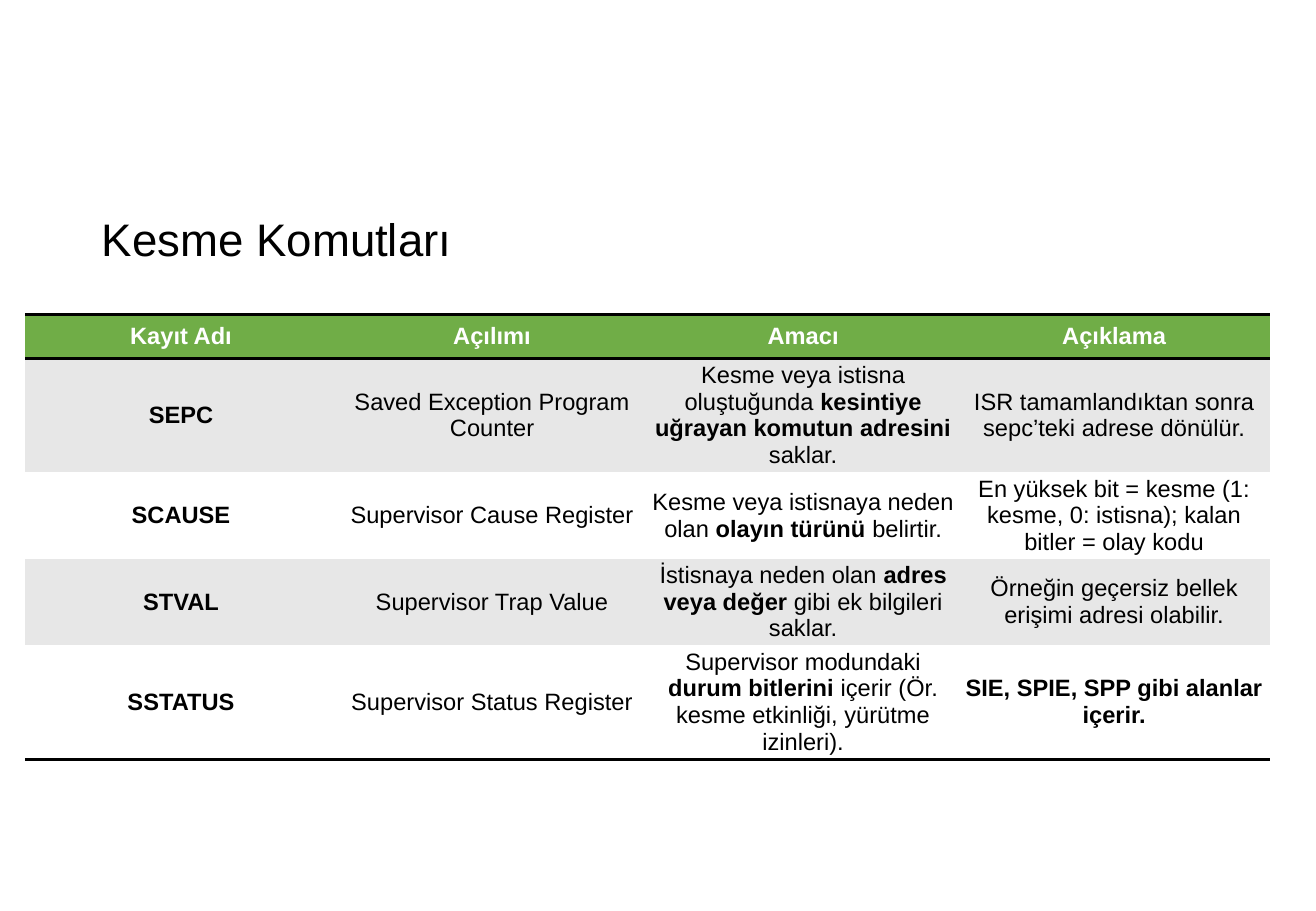
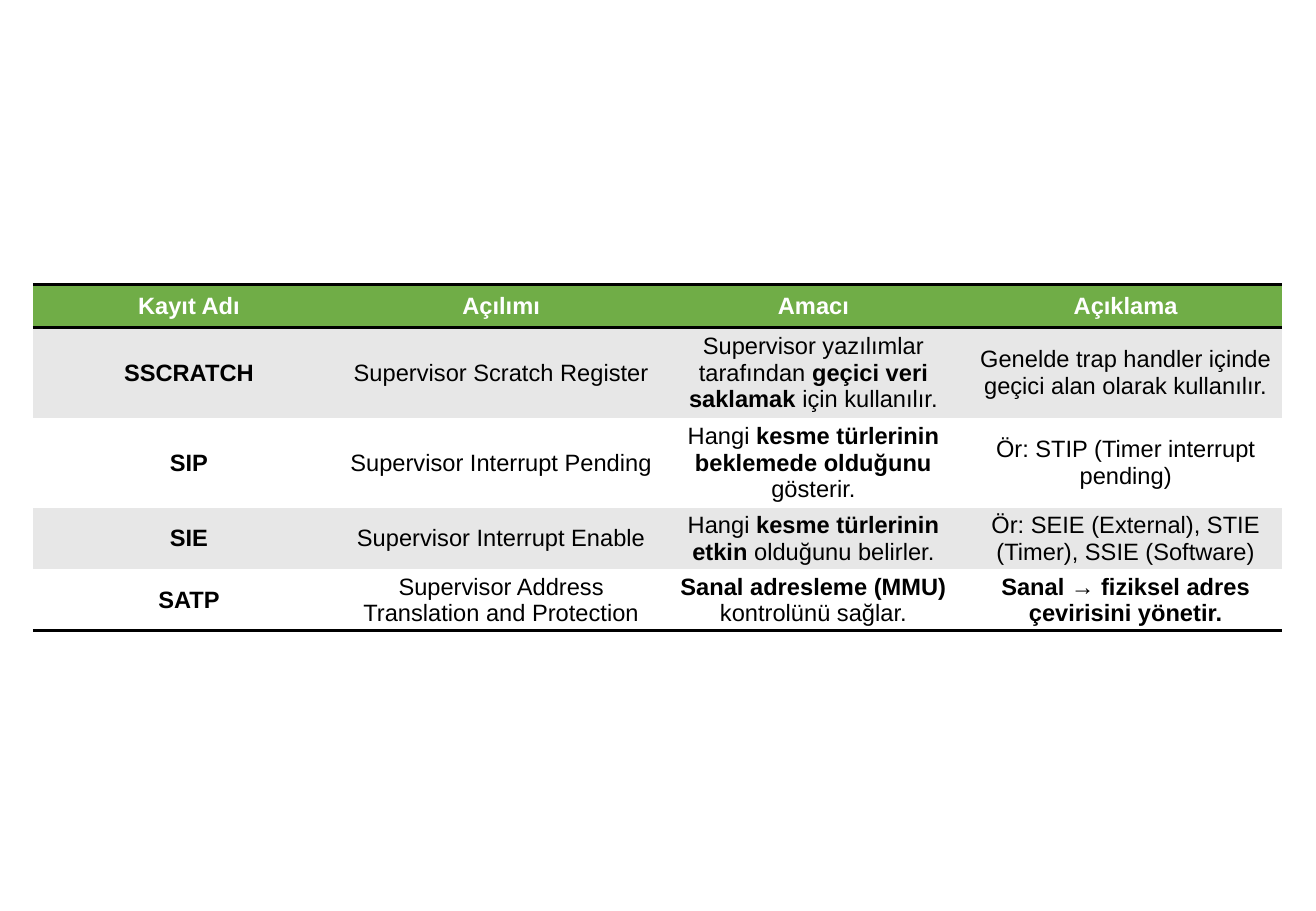
from dataclasses import dataclass

from lxml.etree import SubElement
from pptx import Presentation
from pptx.dml.color import RGBColor
from pptx.enum.text import MSO_ANCHOR, PP_ALIGN
from pptx.oxml.ns import qn
from pptx.slide import Slide
from pptx.table import _Cell
from pptx.text.text import _Paragraph
from pptx.util import Pt

SCALE = 9144
PLAIN = "{2D5ABB26-0587-4C30-8999-92F81FD0307C}"


@dataclass(frozen=True)
class Theme:
    face: str = "Arial"
    ink: str = "000000"
    white: str = "FFFFFF"
    green: str = "70AD47"
    grey: str = "E7E7E7"
    title: int = 27
    body: int = 14
    rule: int = 2


@dataclass(frozen=True)
class Grid:
    left: int
    top: int
    width: int
    heights: tuple[int, ...]
    rows: tuple[tuple[str, ...], ...]


THEME = Theme()
HEAD = ("**Kayıt Adı**", "**Açılımı**", "**Amacı**", "**Açıklama**")

FIRST = Grid(21, 259, 256, (36, 94, 71, 71, 94), (
    HEAD,
    ("**SEPC**", "Saved Exception Program Counter",
     "Kesme veya istisna oluştuğunda **kesintiye uğrayan komutun adresini** saklar.",
     "ISR tamamlandıktan sonra sepc’teki adrese dönülür."),
    ("**SCAUSE**", "Supervisor Cause Register",
     "Kesme veya istisnaya neden olan **olayın türünü** belirtir.",
     "En yüksek bit = kesme (1: kesme, 0: istisna); kalan bitler = olay kodu"),
    ("**STVAL**", "Supervisor Trap Value",
     "İstisnaya neden olan **adres veya değer** gibi ek bilgileri saklar.",
     "Örneğin geçersiz bellek erişimi adresi olabilir."),
    ("**SSTATUS**", "Supervisor Status Register",
     "Supervisor modundaki **durum bitlerini** içerir (Ör. kesme etkinliği, yürütme izinleri).",
     "**SIE, SPIE, SPP gibi alanlar içerir.**"),
))

SECOND = Grid(27, 234, 257, (36, 72, 72, 49, 49), (
    HEAD,
    ("**SSCRATCH**", "Supervisor Scratch Register",
     "Supervisor yazılımlar tarafından **geçici veri saklamak** için kullanılır.",
     "Genelde trap handler içinde geçici alan olarak kullanılır."),
    ("**SIP**", "Supervisor Interrupt Pending",
     "Hangi **kesme türlerinin beklemede olduğunu** gösterir.",
     "Ör: STIP (Timer interrupt pending)"),
    ("**SIE**", "Supervisor Interrupt Enable",
     "Hangi **kesme türlerinin etkin** olduğunu belirler.",
     "Ör: SEIE (External), STIE (Timer), SSIE (Software)"),
    ("**SATP**", "Supervisor Address Translation and Protection",
     "**Sanal adresleme (MMU)** kontrolünü sağlar.",
     "**Sanal → fiziksel adres çevirisini yönetir.**"),
))


def px(size: int) -> int:
    return size * SCALE


def write(para: _Paragraph, text: str, size: int, color: str) -> None:
    font = para.font
    font.name, font.size = THEME.face, Pt(size)
    font.color.rgb = RGBColor.from_string(color)
    parts = [(part, i % 2 == 1) for i, part in enumerate(text.split("**")) if part]
    for part, bold in parts:
        run = para.add_run()
        run.text = part
        if len(parts) > 1:
            run.font.bold = bold
        else:
            font.bold = bold


def border(cell: _Cell, side: str) -> None:
    props = cell._tc.get_or_add_tcPr()
    line = SubElement(props, qn(f"a:ln{side}"), w=str(Pt(THEME.rule)))
    fill = SubElement(line, qn("a:solidFill"))
    SubElement(fill, qn("a:srgbClr"), val=THEME.ink)


def draw_cell(cell: _Cell, text: str, row: int, last: int) -> None:
    cell.margin_left = cell.margin_right = px(3)
    cell.margin_top = cell.margin_bottom = px(2)
    cell.vertical_anchor = MSO_ANCHOR.MIDDLE
    if row == 0:
        border(cell, "T")
    if row in (0, last):
        border(cell, "B")
    band = THEME.grey if row % 2 else THEME.white
    cell.fill.solid()
    cell.fill.fore_color.rgb = RGBColor.from_string(band if row else THEME.green)
    para = cell.text_frame.paragraphs[0]
    para.alignment = PP_ALIGN.CENTER
    write(para, text, THEME.body, THEME.ink if row else THEME.white)


def draw_grid(slide: Slide, grid: Grid) -> None:
    count = len(HEAD)
    frame = slide.shapes.add_table(
        len(grid.rows), count, px(grid.left), px(grid.top),
        px(grid.width * count), px(sum(grid.heights)))
    table = frame.table
    table.first_row = table.horz_banding = False
    next(frame._element.iter(qn("a:tableStyleId"))).text = PLAIN
    for col in table.columns:
        col.width = px(grid.width)
    for row, (height, texts) in enumerate(zip(grid.heights, grid.rows)):
        table.rows[row].height = px(height)
        for col, text in enumerate(texts):
            draw_cell(table.cell(row, col), text, row, len(grid.rows) - 1)


def draw_title(slide: Slide, text: str) -> None:
    box = slide.shapes.add_textbox(px(74), px(166), px(934), px(66))
    frame = box.text_frame
    frame.word_wrap = True
    frame.vertical_anchor = MSO_ANCHOR.MIDDLE
    para = frame.paragraphs[0]
    para.line_spacing = 0.9
    write(para, text, THEME.title, THEME.ink)


def main() -> None:
    deck = Presentation()
    deck.slide_width, deck.slide_height = px(1083), px(750)
    blank = deck.slide_layouts[6]
    first = deck.slides.add_slide(blank)
    draw_grid(first, FIRST)
    draw_title(first, "Kesme Komutları")
    draw_grid(deck.slides.add_slide(blank), SECOND)
    deck.save("out.pptx")


if __name__ == "__main__":
    main()
